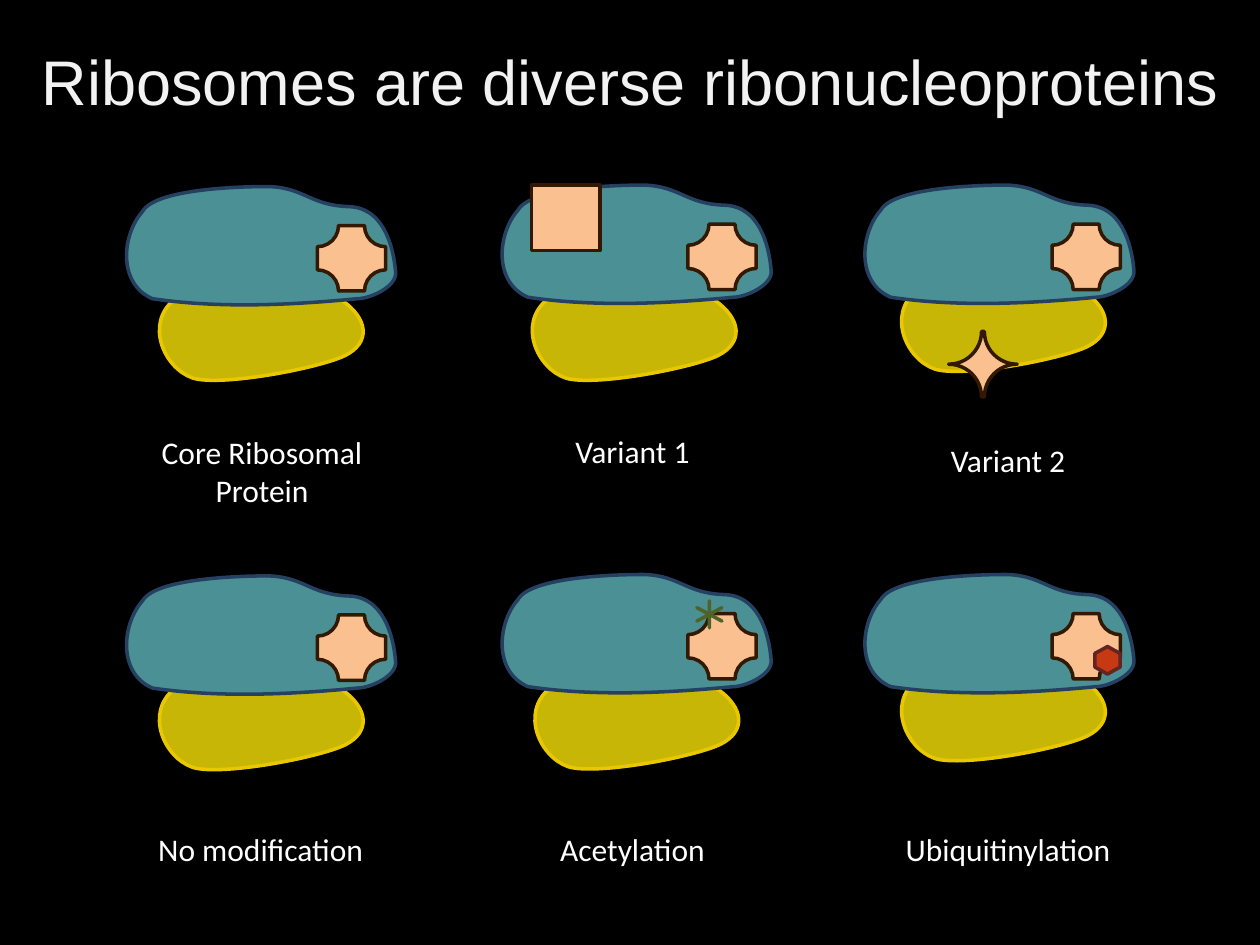
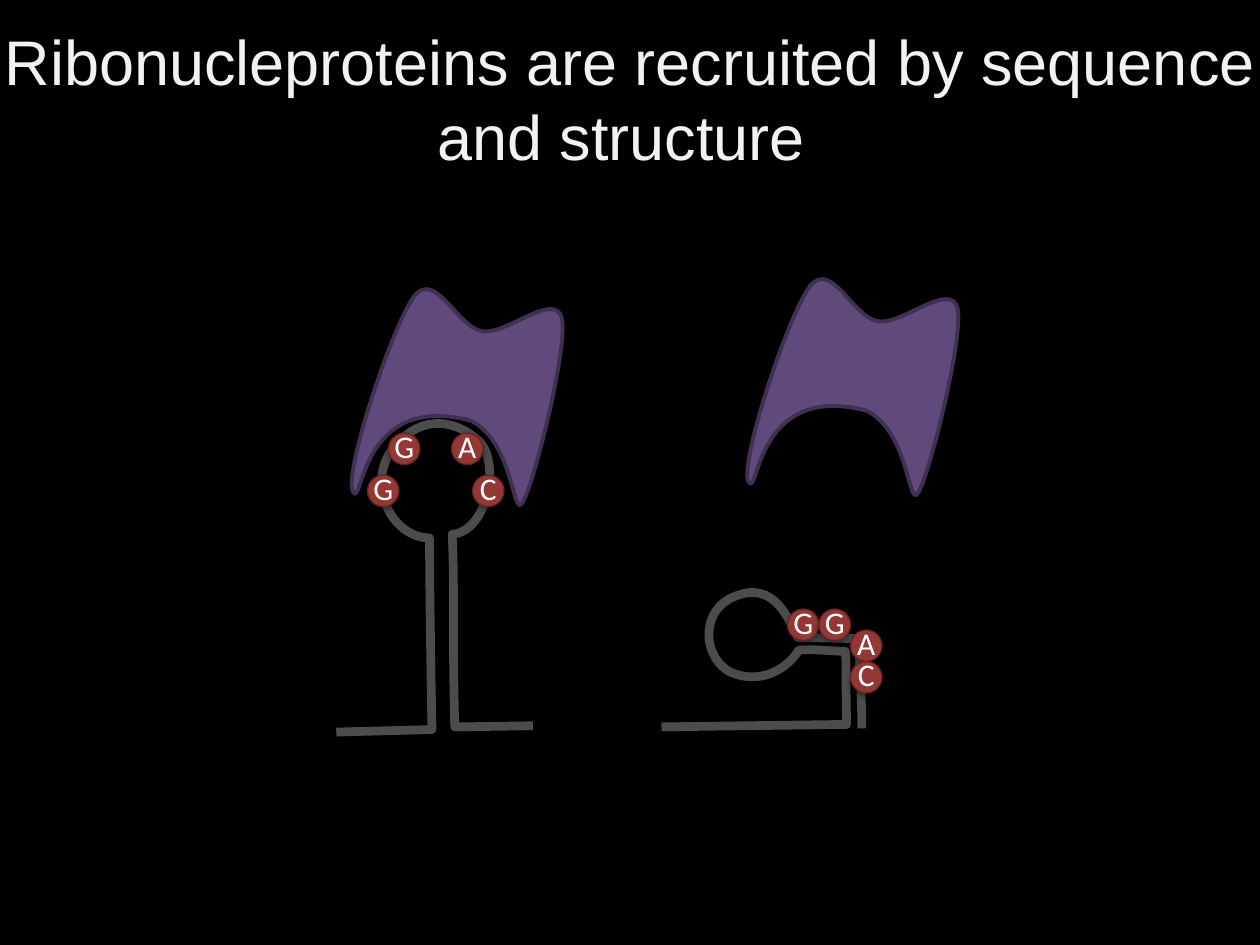
from dataclasses import dataclass

from lxml import etree
from pptx import Presentation
from pptx.dml.color import RGBColor
from pptx.enum import shapes, text
from pptx.oxml.ns import qn
from pptx.util import Pt

BLACK, WHITE, TITLE_GREY = "000000", "FFFFFF", "F2F2F2"
PEACH, BROWN = "FAC090", "341902"
ROW_STEP = 222.5
Kind = shapes.MSO_SHAPE


@dataclass(frozen=True)
class Outline:
    width: float
    height: float
    segments: tuple[tuple[float, ...], ...]
    line: str
    line_width: float
    fill: str | None = None
    rotation: float = 0


@dataclass(frozen=True)
class Marker:
    kind: Kind
    left: float
    top: float
    width: float
    height: float
    adjustment: float
    fill: str = PEACH
    line: str = BROWN


@dataclass(frozen=True)
class Ribosome:
    label: str
    large: tuple[float, float]
    small: tuple[float, float]
    core_left: float
    label_box: tuple[float, float, float, float]
    marker: Marker | None = None


@dataclass(frozen=True)
class Nucleotide:
    letter: str
    left: float
    top: float


LARGE_SUBUNIT = Outline(154.1, 67.7, (
    (9.4, 14.4),
    (17.3, 0, 74.9, 0, 81.4, 0),
    (102.2, 0.7, 105.1, 10.8, 127.4, 11.5),
    (149.8, 12.2, 153.4, 40.3, 154.1, 49),
    (154.8, 57.6, 139, 64.1, 132.5, 64.1),
    (95, 67.7, 53.3, 69.8, 15.1, 64.1),
    (-5, 55.4, -2.2, 27.4, 9.4, 14.4),
), "254061", 2, "4A9094")

SMALL_SUBUNIT = Outline(116.6, 49, (
    (19.4, 48.2),
    (2.9, 42.5, -7.9, 17.3, 8.6, 3.6),
    (52.6, 1.4, 72, -2.9, 104.4, 3.6),
    (120.2, 14.4, 121, 28.1, 106.6, 35.3),
    (92.2, 42.5, 35.3, 53.3, 19.4, 48.2),
), "EAC800", 2, "C8B606")

PROTEIN = Outline(101.5, 137.5, (
    (3.9, 19.2),
    (10.4, 0.9, 33, 28.1, 47.3, 25.3),
    (60.9, 22.8, 78.8, -11, 87.7, 3.5),
    (96.6, 17.9, 104.6, 103.6, 101.1, 110.9),
    (98.5, 118.7, 84.6, 79.3, 58.2, 75.7),
    (-8.7, 80.9, 17.2, 145.8, 7.7, 136.2),
    (-0.9, 127, -2.4, 38.2, 3.9, 19.2),
), "403152", 2.25, "604A7B", 19.4)

UPRIGHT_HAIRPIN = Outline(112.3, 176.4, (
    (0, 176.4),
    (54.7, 175),
    (54, 139.7, 53.3, 90.7, 53.3, 65.5),
    (31.7, 65.5, 16.6, 34.6, 32.4, 14.4),
    (48.2, -5.8, 68.4, -2.2, 81.4, 10.1),
    (94.3, 22.3, 86.4, 61.9, 66.2, 63.4),
    (67.7, 92.2, 66.2, 114.5, 67.7, 173.5),
    (112.3, 172.8),
), "4C4C4C", 5)

BENT_HAIRPIN = Outline(114.5, 77, (
    (0, 77),
    (105.8, 75.6),
    (105.1, 41, 105.8, 44.6, 105.1, 33.8),
    (98.6, 33.8, 86.4, 32.4, 78.5, 33.1),
    (71.3, 44.6, 56.2, 52.6, 40.3, 46.1),
    (23.8, 38.9, 20.9, 10.1, 42.5, 2.2),
    (64.1, -6.5, 72.7, 15.1, 77.8, 25.9),
    (113, 26.6),
    (113, 43.9, 114.5, 60.5, 114.5, 77.8),
), "4C4C4C", 5)

RIBOSOMES = (
    Ribosome("Core Ribosomal Protein", (72, 106.6), (90.7, 167.8), 181.4,
             (72.7, 244.1, 154.1, 51)),
    Ribosome("Variant 1", (286.6, 105.8), (303.8, 167.8), 393.1,
             (284.4, 243.4, 154.1, 29),
             Marker(Kind.PLAQUE, 303.8, 105.8, 39, 37.4, 0)),
    Ribosome("Variant 2", (493.9, 105.8), (514.8, 162.7), 601.2,
             (504.7, 248.4, 142.6, 29),
             Marker(Kind.PLAQUE, 542.2, 189.4, 39, 37.4, 0.5)),
    Ribosome("No modification", (72, 106.6 + ROW_STEP), (90.7, 167.8 + ROW_STEP), 181.4,
             (80.6, 470.9, 136.8, 29)),
    Ribosome("Acetylation", (286.6, 105.8 + ROW_STEP), (305.3, 167.4 + ROW_STEP), 393.1,
             (283.7, 470.9, 155.5, 29),
             Marker(Kind.STAR_6_POINT, 398.2, 343.4, 14.4, 15.4, 0, "4F81BD", "4F6228")),
    Ribosome("Ubiquitinylation", (493.9, 105.8 + ROW_STEP), (514.8, 162.7 + ROW_STEP), 601.2,
             (504.7, 470.9, 142.6, 29),
             Marker(Kind.STAR_6_POINT, 625.7, 369.4, 14.4, 15.8, 0.43, "C63912", "632523")),
)

NUCLEOTIDES = (
    Nucleotide("G", 450, 348), Nucleotide("G", 468, 348),
    Nucleotide("A", 486, 360), Nucleotide("C", 486, 378),
    Nucleotide("G", 210, 271.5), Nucleotide("G", 222, 247.5),
    Nucleotide("C", 270, 271.5), Nucleotide("A", 258, 247.5),
)


def color(value: str) -> RGBColor:
    return RGBColor.from_string(value)


def style_shape(shape, fill: str | None, line: str, line_width: float) -> None:
    shape.shadow.inherit = False
    if fill:
        shape.fill.solid()
        shape.fill.fore_color.rgb = color(fill)
    else:
        shape.fill.background()
    shape.line.color.rgb = color(line)
    shape.line.width = Pt(line_width)


def write_text(shape, content: str, size: float, font: str, ink: str) -> None:
    paragraph = shape.text_frame.paragraphs[0]
    paragraph.text = content
    paragraph.alignment = text.PP_ALIGN.CENTER
    paragraph.font.size = Pt(size)
    paragraph.font.name = font
    paragraph.font.color.rgb = color(ink)


def set_margins(frame, left: float, top: float, right: float, bottom: float) -> None:
    frame.margin_left, frame.margin_top = Pt(left), Pt(top)
    frame.margin_right, frame.margin_bottom = Pt(right), Pt(bottom)


def add_label(slide, content: str, box: tuple[float, ...], size: float = 18,
              font: str = "Calibri", ink: str = WHITE):
    shape = slide.shapes.add_textbox(*map(Pt, box))
    shape.text_frame.word_wrap = True
    write_text(shape, content, size, font, ink)
    return shape


def add_titled_slide(presentation, title: str, top: float, height: float):
    slide = presentation.slides.add_slide(presentation.slide_layouts[6])
    slide.background.fill.solid()
    slide.background.fill.fore_color.rgb = color(BLACK)
    shape = add_label(slide, title, (0, top, 720, height), 36, "Arial", TITLE_GREY)
    shape.text_frame.vertical_anchor = text.MSO_ANCHOR.MIDDLE
    set_margins(shape.text_frame, 0, 0, 0, 0)
    return slide


def add_outline(slide, outline: Outline, left: float, top: float) -> None:
    right, bottom = left + outline.width, top + outline.height
    corners = [(Pt(right), Pt(top)), (Pt(right), Pt(bottom)), (Pt(left), Pt(bottom))]
    builder = slide.shapes.build_freeform(Pt(left), Pt(top))
    builder.add_line_segments(corners, close=True)
    shape = builder.convert_to_shape()
    curve = shape.element.find(".//" + qn("a:path"))
    for child in list(curve):
        curve.remove(child)
    for index, segment in enumerate(outline.segments):
        tag = "a:moveTo" if index == 0 else "a:lnTo" if len(segment) == 2 else "a:cubicBezTo"
        step = etree.SubElement(curve, qn(tag))
        for x, y in zip(segment[::2], segment[1::2]):
            etree.SubElement(step, qn("a:pt"), x=str(int(Pt(x))), y=str(int(Pt(y))))
    if outline.fill:
        etree.SubElement(curve, qn("a:close"))
    shape.rotation = outline.rotation
    style_shape(shape, outline.fill, outline.line, outline.line_width)


def add_marker(slide, marker: Marker) -> None:
    box = (marker.left, marker.top, marker.width, marker.height)
    shape = slide.shapes.add_shape(marker.kind, *map(Pt, box))
    shape.adjustments[0] = marker.adjustment
    style_shape(shape, marker.fill, marker.line, 2)


def add_ribosome(slide, ribosome: Ribosome) -> None:
    add_outline(slide, SMALL_SUBUNIT, *ribosome.small)
    add_outline(slide, LARGE_SUBUNIT, *ribosome.large)
    core_top = ribosome.large[1] + 22.3
    add_marker(slide, Marker(Kind.PLAQUE, ribosome.core_left, core_top, 39, 37.4, 0.323))
    if ribosome.marker:
        add_marker(slide, ribosome.marker)
    add_label(slide, ribosome.label, ribosome.label_box)


def add_soft_shadow(shape) -> None:
    effects = shape.element.spPr.find(qn("a:effectLst"))
    shadow = etree.SubElement(effects, qn("a:outerShdw"), blurRad=str(int(Pt(3.1))),
                              dist=str(int(Pt(1.8))), dir="5400000", rotWithShape="0")
    tint = etree.SubElement(shadow, qn("a:srgbClr"), val=BLACK)
    etree.SubElement(tint, qn("a:alpha"), val="35000")


def add_nucleotide(slide, nucleotide: Nucleotide) -> None:
    box = (nucleotide.left, nucleotide.top, 18, 18)
    shape = slide.shapes.add_shape(Kind.OVAL, *map(Pt, box))
    style_shape(shape, "953735", "632523", 0.75)
    add_soft_shadow(shape)
    frame = shape.text_frame
    frame.word_wrap = False
    frame.vertical_anchor = text.MSO_ANCHOR.BOTTOM
    set_margins(frame, 0, 18, 0, 0)
    write_text(shape, nucleotide.letter, 18, "Calibri", WHITE)


def main() -> None:
    presentation = Presentation()
    presentation.slide_width, presentation.slide_height = Pt(720), Pt(540)

    diversity = add_titled_slide(presentation, "Ribosomes are diverse ribonucleoproteins", 0.7, 90)
    for ribosome in RIBOSOMES:
        add_ribosome(diversity, ribosome)

    recruitment = add_titled_slide(
        presentation, "Ribonucleproteins are recruited by sequence and structure ", 0, 111.6)
    add_outline(recruitment, UPRIGHT_HAIRPIN, 192.2, 241.9)
    add_outline(recruitment, BENT_HAIRPIN, 378, 338.4)
    for nucleotide in NUCLEOTIDES:
        add_nucleotide(recruitment, nucleotide)
    add_outline(recruitment, PROTEIN, 213.8, 162.7)
    add_outline(recruitment, PROTEIN, 439.9, 157)

    presentation.save("out.pptx")


if __name__ == "__main__":
    main()
